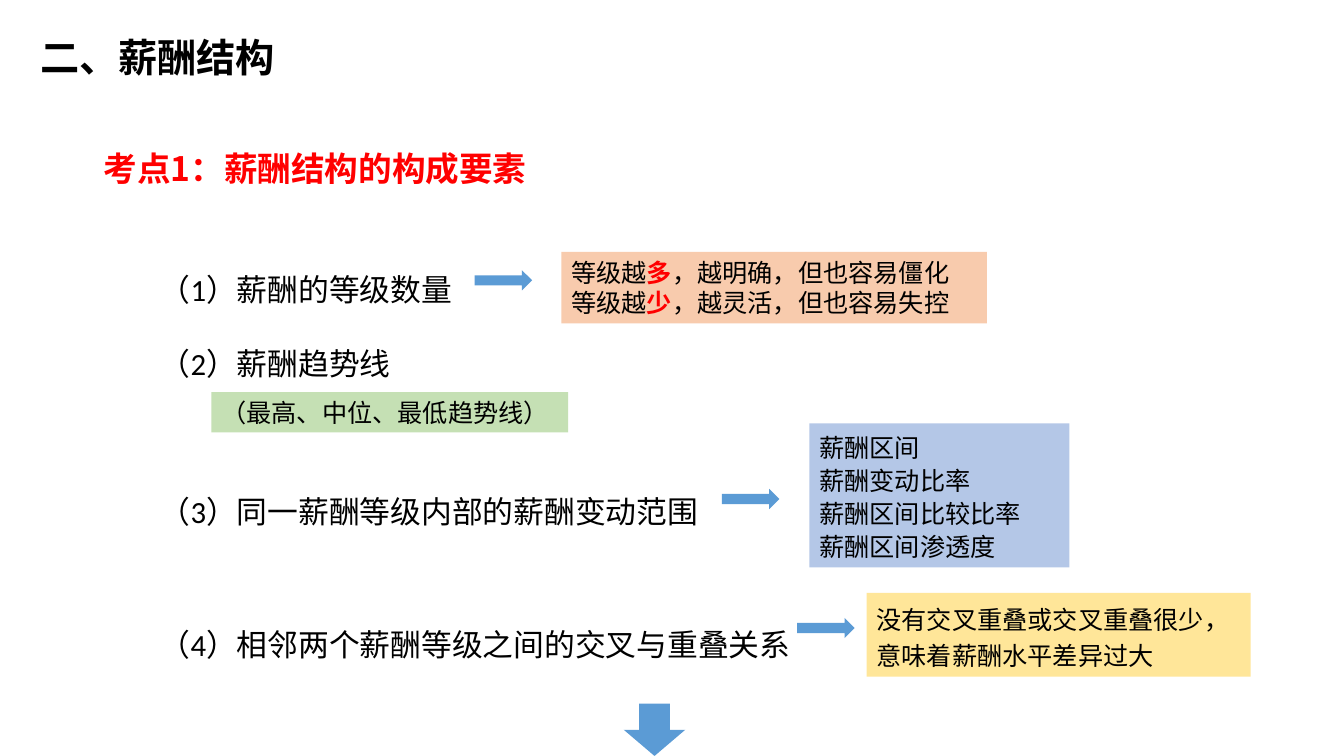
from dataclasses import dataclass

from pptx import Presentation
from pptx.dml.color import RGBColor
from pptx.enum.shapes import MSO_SHAPE
from pptx.enum.text import MSO_ANCHOR, PP_ALIGN
from pptx.oxml.ns import qn
from pptx.util import Cm, Pt

RECT = MSO_SHAPE.RECTANGLE
RIGHT_ARROW = MSO_SHAPE.RIGHT_ARROW
DOWN_ARROW = MSO_SHAPE.DOWN_ARROW
TOP = MSO_ANCHOR.TOP
MIDDLE = MSO_ANCHOR.MIDDLE
LEFT = PP_ALIGN.LEFT


@dataclass(frozen=True)
class Theme:
    font: str = "Calibri"
    heading_font: str = "Noto Sans CJK SC"
    text: str = "000000"
    accent: str = "FF0000"
    arrow: str = "5B9BD5"
    orange: str = "F8CBAD"
    green: str = "C5E0B4"
    blue: str = "B4C7E7"
    yellow: str = "FFE699"
    title: int = 28
    heading: int = 24
    item: int = 22
    note: int = 18


THEME = Theme()


def add_run(p, text, size, color=THEME.text, bold=False, font=THEME.font):
    r = p.add_run()
    r.text = text
    r.font.name = font
    r.font.size = Pt(size)
    r.font.bold = bold
    r.font.color.rgb = RGBColor.from_string(color)
    ea = r.font._element.makeelement(qn("a:ea"), {"typeface": font})
    r.font._element.find(qn("a:latin")).addnext(ea)


def add_paragraph(tf, first, spacing=1.0, before=0):
    p = tf.paragraphs[0] if first else tf.add_paragraph()
    p.alignment = LEFT
    p.line_spacing = spacing
    p.space_before = Pt(before)
    return p


def add_text(s, box, text, indent=0.25, anchor=TOP, spacing=1.0, **fmt):
    sp = s.shapes.add_textbox(*map(Cm, box))
    tf = sp.text_frame
    tf.word_wrap = True
    tf.vertical_anchor = anchor
    tf.margin_left = Cm(indent)
    if text:
        add_run(add_paragraph(tf, True, spacing), text, **fmt)
    return tf


def add_items(s, box, items):
    tf = add_text(s, box, "", indent=1.52)
    for i, (text, spacing, before) in enumerate(items):
        add_run(add_paragraph(tf, i == 0, spacing, before), text, THEME.item)


def add_shape(s, kind, box, fill):
    sp = s.shapes.add_shape(kind, *map(Cm, box))
    sp.shadow.inherit = False
    sp.fill.solid()
    sp.fill.fore_color.rgb = RGBColor.from_string(fill)
    sp.line.fill.background()
    return sp


def add_note(s, box, fill, lines, spacing=1.0):
    tf = add_shape(s, RECT, box, fill).text_frame
    tf.word_wrap = True
    tf.vertical_anchor = MIDDLE
    for i, line in enumerate(lines):
        p = add_paragraph(tf, i == 0, spacing)
        for j, text in enumerate(line.split("|")):
            key = j % 2 == 1
            add_run(p, text, THEME.note, THEME.accent if key else THEME.text, key)


def main():
    prs = Presentation()
    prs.slide_width, prs.slide_height = Cm(33.87), Cm(19.05)
    s = prs.slides.add_slide(prs.slide_layouts[6])

    add_text(s, (1.78, 3.51, 17.63, 1.35), "考点1：薪酬结构的构成要素",
             indent=0.83, anchor=MIDDLE, spacing=1.1, size=THEME.heading,
             color=THEME.accent, bold=True, font=THEME.heading_font)
    add_text(s, (0.76, 0.71, 16.94, 1.45), "二、薪酬结构",
             size=THEME.title, bold=True)
    add_items(s, (2.51, 5.77, 23.67, 11.15), [
        ("（1）薪酬的等级数量", 2, 0),
        ("（2）薪酬趋势线", 2, 0),
        ("（3）同一薪酬等级内部的薪酬变动范围", 2, 53),
        ("（4）相邻两个薪酬等级之间的交叉与重叠关系", 3.6, 0),
    ])

    add_note(s, (14.15, 6.35, 10.72, 1.8), THEME.orange,
             ["等级越|多|，越明确，但也容易僵化", "等级越|少|，越灵活，但也容易失控"])
    add_note(s, (5.33, 9.88, 8.99, 1.02), THEME.green, ["（最高、中位、最低趋势线）"])
    add_note(s, (20.4, 10.67, 6.55, 3.63), THEME.blue,
             ["薪酬区间", "薪酬变动比率", "薪酬区间比较比率", "薪酬区间渗透度"], 1.1)
    add_note(s, (21.84, 14.94, 9.68, 2.11), THEME.yellow,
             ["没有交叉重叠或交叉重叠很少，意味着薪酬水平差异过大"], 1.2)

    for x, y in ((11.96, 6.81), (18.19, 12.32), (20.09, 15.57)):
        add_shape(s, RIGHT_ARROW, (x, y, 1.45, 0.51), THEME.arrow)
    add_shape(s, DOWN_ARROW, (15.72, 17.73, 1.55, 1.32), THEME.arrow)

    prs.save("out.pptx")


if __name__ == "__main__":
    main()
